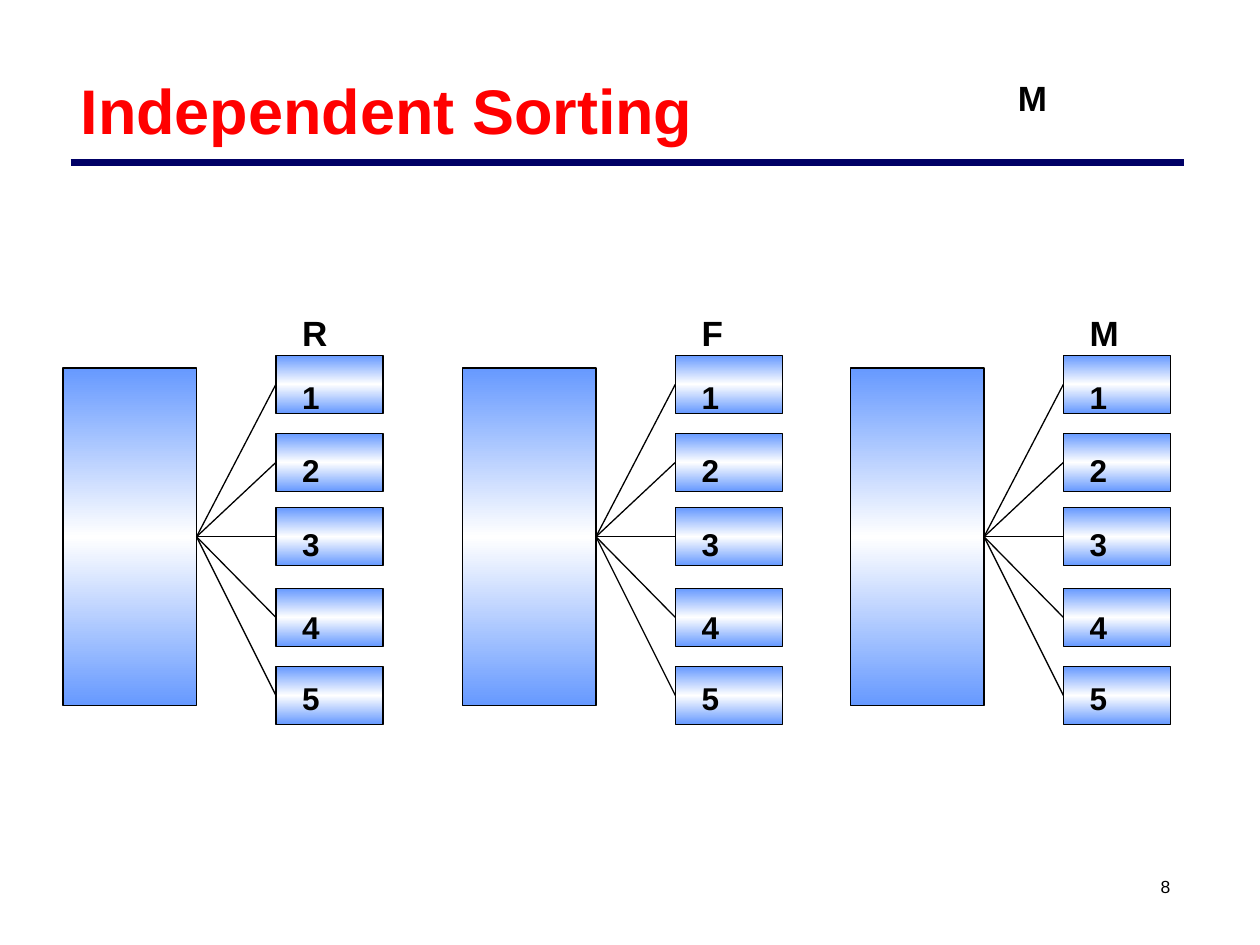
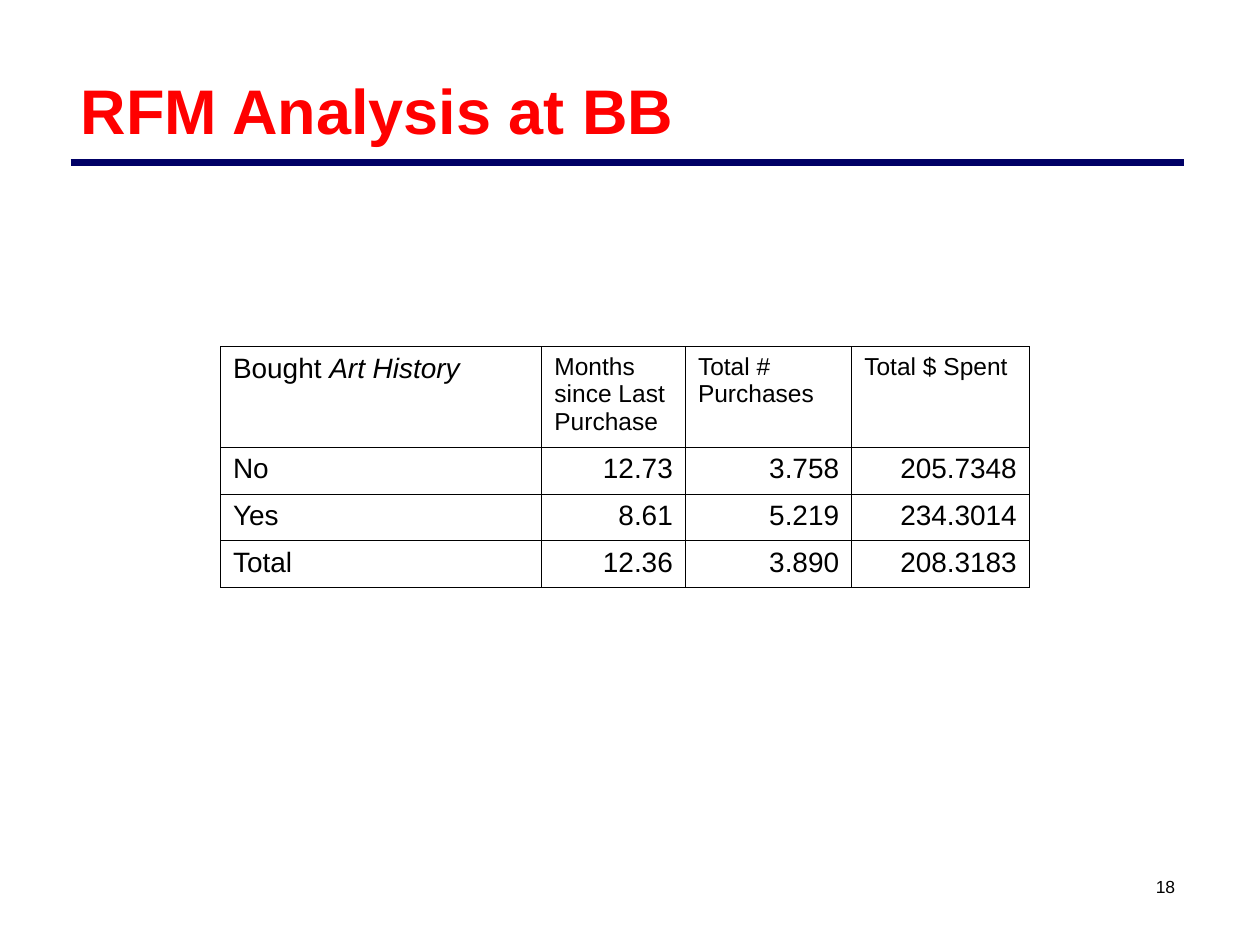
import copy

from lxml import etree
from pptx import Presentation
from pptx.dml.color import RGBColor
from pptx.enum import shapes, text
from pptx.oxml.ns import qn
from pptx.util import Inches, Pt

COLORS = {"title": "FF0000", "rule": "000066", "ink": "000000",
          "box edge": "6699FF", "box middle": "FFFFFF"}
FONT = "Arial"
TITLE = {"size": Pt(36), "bold": True}
PAGE_NUMBER = {"size": Pt(10)}
HEADING = {"size": Pt(20), "bold": True}
RANK = {"size": Pt(18), "bold": True}
CELL = {"size": Pt(16)}
COLUMN_HEAD = {"size": Pt(14)}

# Independent sorting: heading and left edge of each tree, then its five ranks
TREES = [("R", 0.5), ("F", 3.67), ("M", 6.75)]
RANKS = [("1", 2.82, 2.95), ("2", 3.44, 3.53), ("3", 4.03, 4.12),
         ("4", 4.67, 4.78), ("5", 5.29, 5.34)]  # rank, box top, label top
LIST_TOP, LIST_WIDTH, LIST_HEIGHT = 2.92, 1.06, 2.68
BOX_OFFSET, BOX_WIDTH, BOX_HEIGHT = 1.69, 0.85, 0.46
LABEL_OFFSET = 1.8

# RFM analysis
PURCHASES = [
    [("Bought ", "Art History"), "Months since Last Purchase",
     "Total # Purchases", "Total $ Spent"],
    ["No", "12.73", "3.758", "205.7348"],
    ["Yes", "8.61", "5.219", "234.3014"],
    ["Total", "12.36", "3.890", "208.3183"],
]
COLUMN_WIDTHS = [2.55, 1.14, 1.32, 1.41]
ROW_HEIGHTS = [0.8, 0.37, 0.37, 0.37]


def rgb(name):
    return RGBColor.from_string(COLORS[name])


def add_run(paragraph, words, style, color="ink"):
    run = paragraph.add_run()
    run.text = words
    run.font.name = FONT
    run.font.color.rgb = rgb(color)
    for key, value in style.items():
        setattr(run.font, key, value)
    return run


def add_text(parent, words, place, style, color="ink", **frame_format):
    box = parent.add_textbox(*map(Inches, place))
    frame = box.text_frame
    for key, value in {"word_wrap": True, **frame_format}.items():
        setattr(frame, key, value)
    add_run(frame.paragraphs[0], words, style, color)
    return frame.paragraphs[0]


def add_line(parent, start, end, color, width):
    line = parent.add_connector(shapes.MSO_CONNECTOR.STRAIGHT,
                                *map(Inches, (*start, *end)))
    line.line.color.rgb = rgb(color)
    line.line.width = Pt(width)
    etree.SubElement(line._element.spPr, qn("a:effectLst"))
    return line


def add_gradient_box(parent, *place):
    """Rectangle that is blue at top and bottom and white in the middle."""
    box = parent.add_shape(shapes.MSO_SHAPE.RECTANGLE, *map(Inches, place))
    box.shadow.inherit = False
    box.line.color.rgb = rgb("ink")
    box.line.width = Pt(0.75)
    box.fill.gradient()
    box.fill.gradient_angle = 90
    stop_list = box._element.spPr.find(qn("a:gradFill")).find(qn("a:gsLst"))
    stop_list.append(copy.deepcopy(stop_list[-1]))
    names = ("box edge", "box middle", "box edge")
    for index, (stop, name) in enumerate(zip(box.fill.gradient_stops, names)):
        stop.position = index / 2
        stop.color.rgb = rgb(name)
    return box


def add_slide(presentation, title, number):
    slide = presentation.slides.add_slide(presentation.slide_layouts[6])
    middle = text.MSO_ANCHOR.MIDDLE
    page = add_text(slide.shapes, number, (9, 6.85, 0.5, 0.37), PAGE_NUMBER,
                    vertical_anchor=middle)
    page.alignment = text.PP_ALIGN.CENTER
    add_line(slide.shapes, (0.56, 1.29), (9.4, 1.29), "rule", 4.5)
    add_text(slide.shapes, title, (0.56, 0.3, 8.81, 1.03), TITLE, "title",
             vertical_anchor=middle, margin_left=Inches(0.08),
             margin_top=Inches(0.15))
    return slide


def add_tree(slide, heading, left):
    """One customer list that fans out into five ranked boxes."""
    tree = slide.shapes.add_group_shape().shapes
    customers = add_gradient_box(tree, left, LIST_TOP, LIST_WIDTH, LIST_HEIGHT)
    add_text(tree, heading, (left + LABEL_OFFSET, 2.42, 0.95, 0.44), HEADING)
    for rank, box_top, label_top in RANKS:
        box = add_gradient_box(tree, left + BOX_OFFSET, box_top,
                               BOX_WIDTH, BOX_HEIGHT)
        add_text(tree, rank, (left + LABEL_OFFSET, label_top, 0.53, 0.4), RANK)
        branch = add_line(
            tree, (left + LIST_WIDTH, LIST_TOP + LIST_HEIGHT / 2),
            (left + BOX_OFFSET, box_top + BOX_HEIGHT / 2), "ink", 0.75)
        branch.begin_connect(customers, 3)
        branch.end_connect(box, 1)


def set_borders(cell):
    properties = cell._tc.get_or_add_tcPr()
    for side in ("lnL", "lnR", "lnT", "lnB"):
        border = etree.SubElement(properties, qn(f"a:{side}"), w=str(Pt(0.45)))
        fill = etree.SubElement(border, qn("a:solidFill"))
        etree.SubElement(fill, qn("a:srgbClr"), val=COLORS["ink"])


def add_purchase_table(slide):
    frame = slide.shapes.add_table(
        len(PURCHASES), len(COLUMN_WIDTHS), Inches(1.75), Inches(2.75),
        Inches(sum(COLUMN_WIDTHS)), Inches(sum(ROW_HEIGHTS)))
    table = frame.table
    table.first_row = table.horz_banding = False
    for column, width in zip(table.columns, COLUMN_WIDTHS):
        column.width = Inches(width)
    for row, height in zip(table.rows, ROW_HEIGHTS):
        row.height = Inches(height)
    for row_index, values in enumerate(PURCHASES):
        for column_index, value in enumerate(values):
            cell = table.cell(row_index, column_index)
            set_borders(cell)
            cell.fill.background()
            paragraph = cell.text_frame.paragraphs[0]
            if row_index and column_index:
                paragraph.alignment = text.PP_ALIGN.RIGHT
            style = COLUMN_HEAD if column_index and not row_index else CELL
            if isinstance(value, tuple):
                plain, book = value
                add_run(paragraph, plain, style)
                add_run(paragraph, book, {**style, "italic": True})
            else:
                add_run(paragraph, value, style)


def main():
    presentation = Presentation()
    presentation.slide_width, presentation.slide_height = Inches(10), Inches(7.5)

    sorting = add_slide(presentation, "Independent Sorting", "8")
    for heading, left in TREES:
        add_tree(sorting, heading, left)
    add_text(sorting.shapes, "M", (7.98, 0.56, 0.95, 0.44), HEADING)

    analysis = add_slide(presentation, "RFM Analysis at BB", "18")
    add_purchase_table(analysis)

    presentation.save("out.pptx")


if __name__ == "__main__":
    main()
